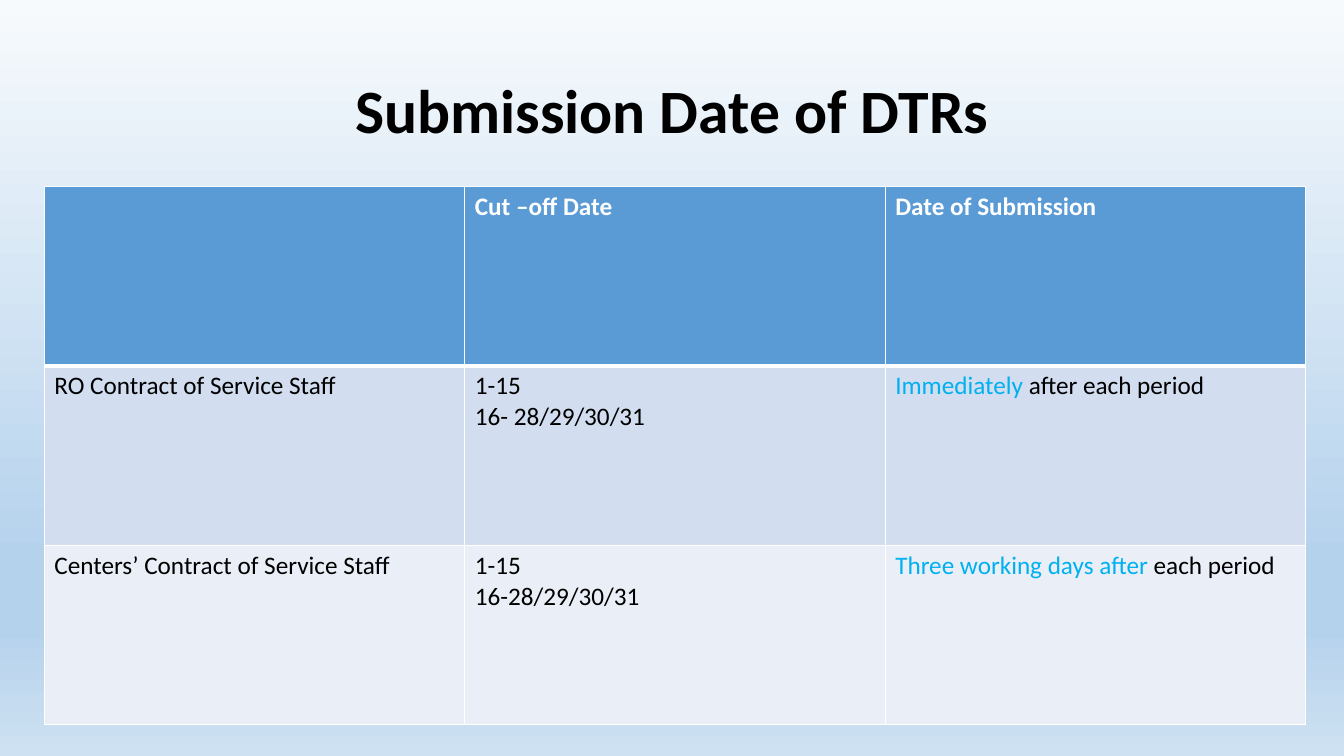
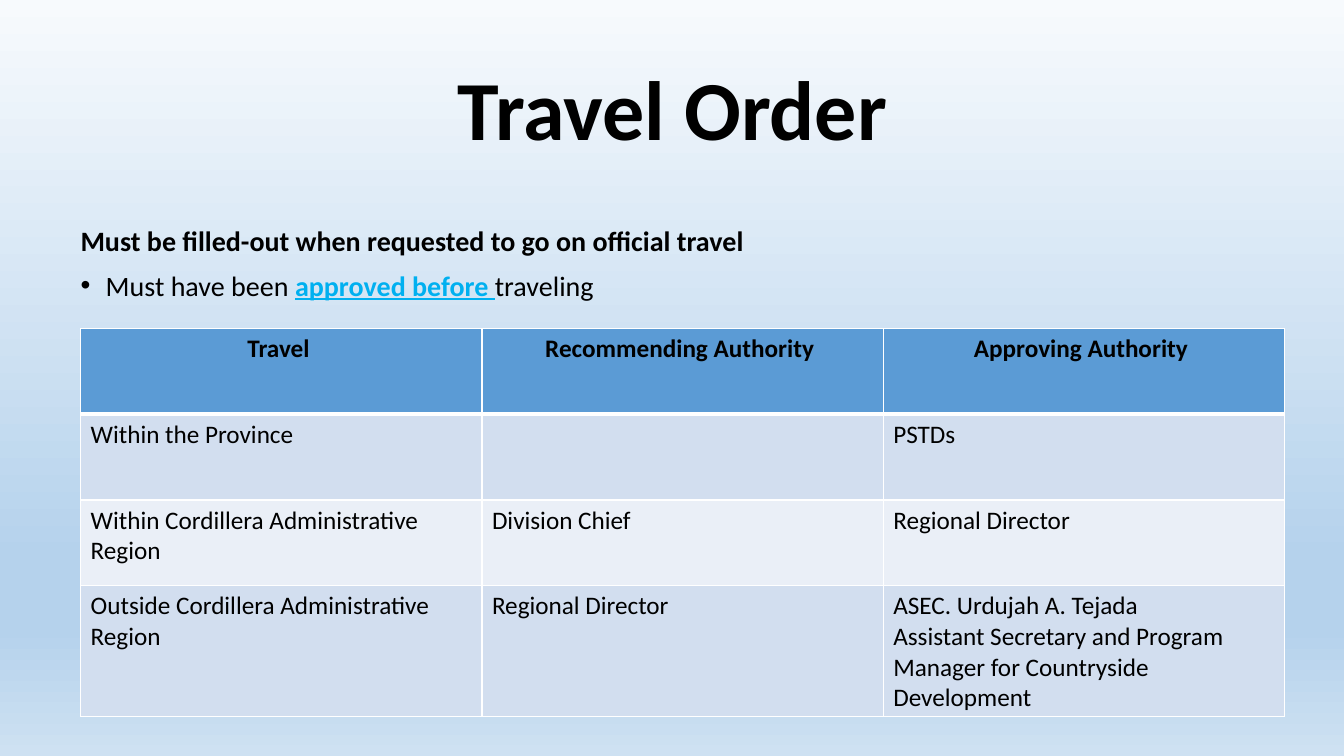
from dataclasses import dataclass

from lxml.etree import SubElement
from pptx import Presentation
from pptx.dml.color import RGBColor
from pptx.enum.text import MSO_ANCHOR, PP_ALIGN
from pptx.oxml.ns import qn
from pptx.slide import Slide, SlideMaster
from pptx.util import Inches, Pt

FONT = "Calibri"
BLACK, WHITE, ACCENT = "000000", "FFFFFF", "00B0F0"
HEADER_FILL = "5B9BD5"
BAND_FILLS = ("D2DEEF", "EAEFF7")
BACKGROUND_STOPS = ((0, "F7FAFD"), (74, "B5D2EC"), (83, "B5D2EC"), (100, "CEE1F2"))
TABLE_TEXT_SIZE = 18


@dataclass(frozen=True)
class Run:
    text: str
    color: str = BLACK
    bold: bool = False
    underline: bool = False


# A cell is a list of paragraphs, and a paragraph is a list of runs
Cell = list[list[Run]]


@dataclass(frozen=True)
class TableDesign:
    left: float
    top: float
    column_width: float
    row_height: float
    header_color: str
    header_alignment: PP_ALIGN
    header: list[str]
    rows: list[list[Cell]]


def rgb(color: str) -> RGBColor:
    return RGBColor.from_string(color)


def plain(*lines: str) -> Cell:
    return [[Run(line)] for line in lines]


def add_runs(paragraph, runs: list[Run], size: float) -> None:
    for item in runs:
        run = paragraph.add_run()
        run.text = item.text
        run.font.name = FONT
        run.font.size = Pt(size)
        run.font.bold = item.bold
        run.font.underline = item.underline
        run.font.color.rgb = rgb(item.color)


def add_paragraphs(text_frame, paragraphs: Cell, size: float) -> list:
    added = []
    for index, runs in enumerate(paragraphs):
        paragraph = text_frame.add_paragraph() if index else text_frame.paragraphs[0]
        add_runs(paragraph, runs, size)
        added.append(paragraph)
    return added


def set_background(master: SlideMaster) -> None:
    fill = master.background.fill
    fill.gradient()
    fill.gradient_angle = 270
    stops = next(master.element.iter(qn("a:gsLst")))
    for stop in list(stops):
        stops.remove(stop)
    for position, color in BACKGROUND_STOPS:
        stop = SubElement(stops, qn("a:gs"), pos=str(position * 1000))
        SubElement(stop, qn("a:srgbClr"), val=color)


def add_text_box(slide: Slide, left: float, top: float, width: float, height: float):
    shape = slide.shapes.add_textbox(
        Inches(left), Inches(top), Inches(width), Inches(height))
    shape.text_frame.word_wrap = True
    return shape.text_frame


def add_title(slide: Slide, text: str, size: float) -> None:
    text_frame = add_text_box(slide, 0.92, 0.4, 11.5, 1.45)
    text_frame.vertical_anchor = MSO_ANCHOR.MIDDLE
    paragraph = add_paragraphs(text_frame, [[Run(text, bold=True)]], size)[0]
    paragraph.alignment = PP_ALIGN.CENTER
    paragraph.line_spacing = 0.9


def set_borders(cell, top: float, bottom: float) -> None:
    properties = cell._tc.get_or_add_tcPr()
    widths = {"a:lnL": 1, "a:lnR": 1, "a:lnT": top, "a:lnB": bottom}
    for tag, width in widths.items():
        line = SubElement(properties, qn(tag), w=str(Pt(width)))
        fill = SubElement(line, qn("a:solidFill"))
        SubElement(fill, qn("a:srgbClr"), val=WHITE)


def add_table(slide: Slide, design: TableDesign) -> None:
    header = [[[Run(text, design.header_color, bold=True)]] if text else []
              for text in design.header]
    rows = [header, *design.rows]
    table = slide.shapes.add_table(
        len(rows), len(header), Inches(design.left), Inches(design.top),
        Inches(design.column_width * len(header)),
        Inches(design.row_height * len(rows))).table
    table.horz_banding = False
    for column in table.columns:
        column.width = Inches(design.column_width)
    for row_index, row in enumerate(rows):
        table.rows[row_index].height = Inches(design.row_height)
        is_header = row_index == 0
        color = HEADER_FILL if is_header else BAND_FILLS[(row_index - 1) % 2]
        for column_index, content in enumerate(row):
            cell = table.cell(row_index, column_index)
            # Thick rule between the header and the first row
            set_borders(cell, top=3 if row_index == 1 else 1,
                        bottom=3 if is_header else 1)
            cell.fill.solid()
            cell.fill.fore_color.rgb = rgb(color)
            for paragraph in add_paragraphs(cell.text_frame, content, TABLE_TEXT_SIZE):
                paragraph.alignment = (
                    design.header_alignment if is_header else PP_ALIGN.LEFT)


def add_requirements(slide: Slide) -> None:
    text_frame = add_text_box(slide, 0.7, 2.21, 10.39, 1)
    heading, bullet = add_paragraphs(text_frame, [
        [Run("Must be filled-out when requested to go on official travel", bold=True)],
        [Run("Must have been "),
         Run("approved before ", ACCENT, bold=True, underline=True),
         Run("traveling")],
    ], 20)
    for paragraph in (heading, bullet):
        paragraph.line_spacing = 0.9
        paragraph.space_before = Pt(10)
        properties = paragraph._p.get_or_add_pPr()
        properties.set("marL", str(Inches(0.25)))
        properties.set("indent", str(Inches(-0.25)))
    bullet_properties = bullet._p.get_or_add_pPr()
    SubElement(bullet_properties, qn("a:buFont"), typeface="Arial")
    SubElement(bullet_properties, qn("a:buChar"), char="•")


SUBMISSION_TABLE = TableDesign(
    left=0.44, top=1.85, column_width=4.17, row_height=1.78,
    header_color=WHITE, header_alignment=PP_ALIGN.LEFT,
    header=["", "Cut –off Date", "Date of Submission"],
    rows=[
        [plain("RO Contract of Service Staff"),
         plain("1-15", "16- 28/29/30/31"),
         [[Run("Immediately", ACCENT), Run(" after each period")]]],
        [plain("Centers’ Contract of Service Staff"),
         plain("1-15", "16-28/29/30/31"),
         [[Run("Three working days after ", ACCENT), Run("each period")]]],
    ])

TRAVEL_TABLE = TableDesign(
    left=0.8, top=3.26, column_width=3.98, row_height=0.85,
    header_color=BLACK, header_alignment=PP_ALIGN.CENTER,
    header=["Travel ", "Recommending Authority ", "Approving Authority "],
    rows=[
        [plain("Within the Province"), plain(), plain("PSTDs")],
        [plain("Within Cordillera Administrative Region"),
         plain("Division Chief"), plain("Regional Director")],
        [plain("Outside Cordillera Administrative Region"),
         plain("Regional Director"),
         plain("ASEC. Urdujah A. Tejada",
               "Assistant Secretary and Program Manager "
               "for Countryside Development")],
    ])


def main() -> None:
    presentation = Presentation()
    presentation.slide_width = Inches(13.33)
    presentation.slide_height = Inches(7.5)
    set_background(presentation.slide_master)
    blank_layout = presentation.slide_layouts[6]

    # Submission dates
    slide = presentation.slides.add_slide(blank_layout)
    add_title(slide, "Submission Date of DTRs", 44)
    add_table(slide, SUBMISSION_TABLE)

    # Travel order
    slide = presentation.slides.add_slide(blank_layout)
    add_title(slide, "Travel Order", 60)
    add_requirements(slide)
    add_table(slide, TRAVEL_TABLE)

    presentation.save("out.pptx")


if __name__ == "__main__":
    main()
